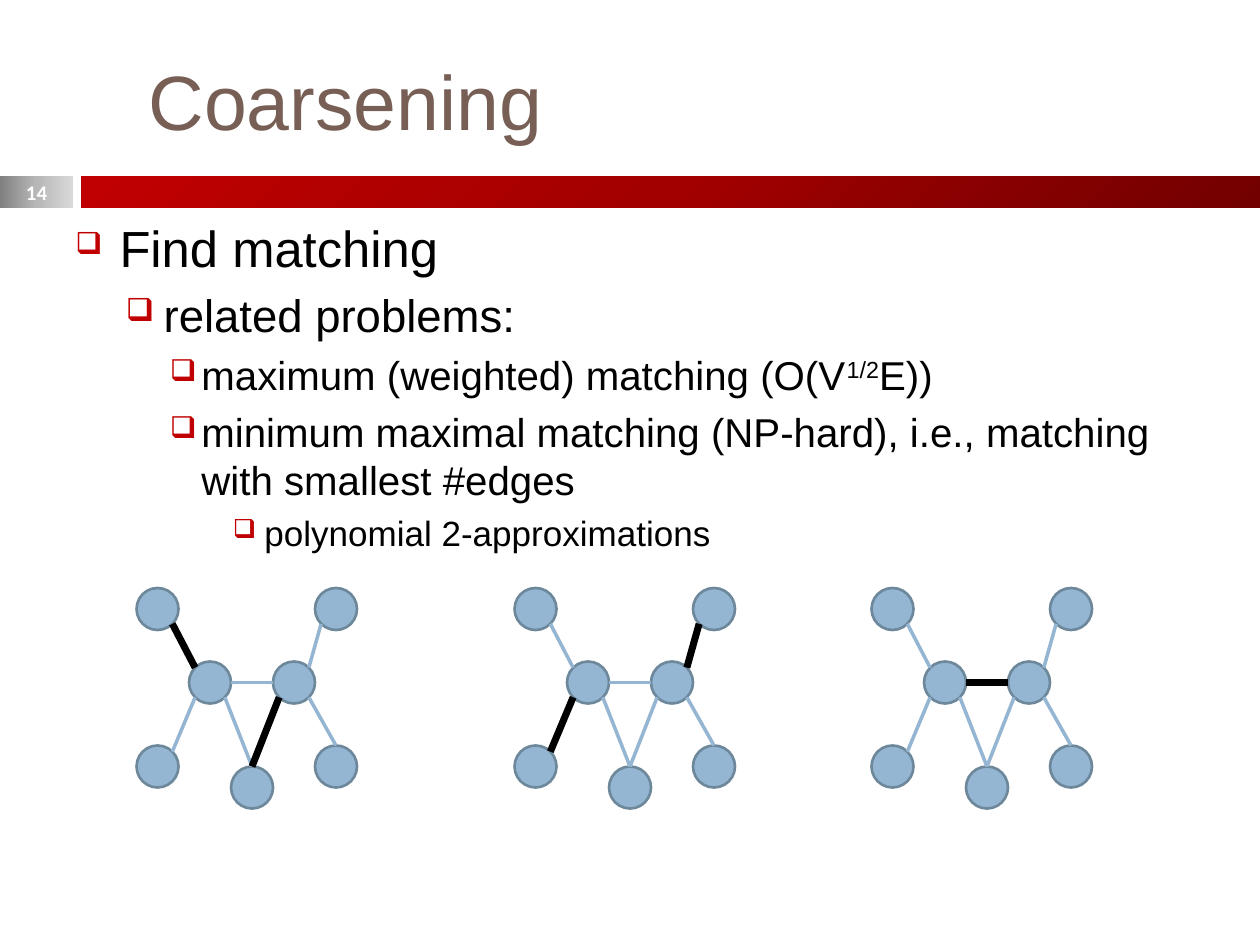
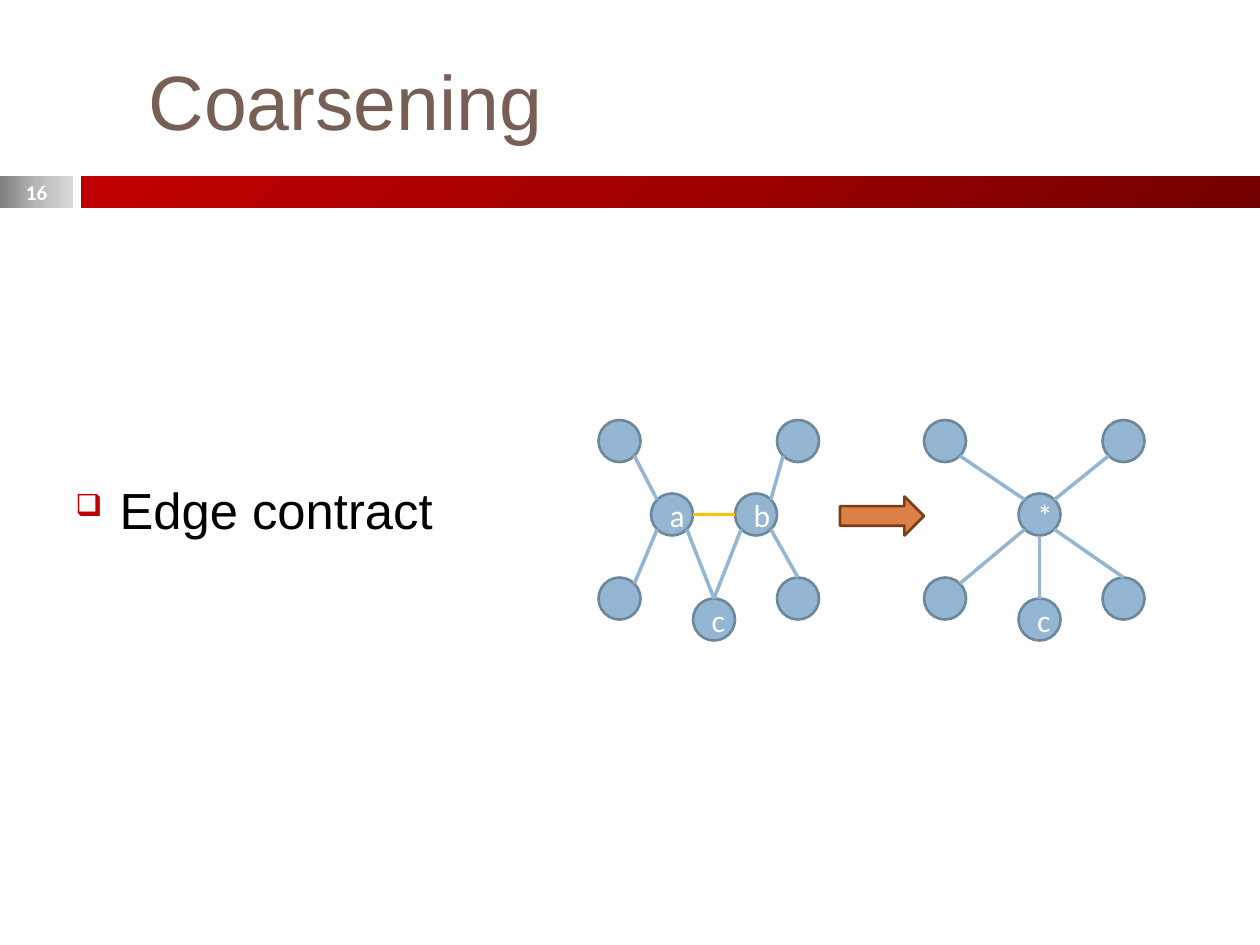
from math import cos, radians, sin

from lxml import etree
from pptx import Presentation, util as u
from pptx.dml.color import RGBColor
from pptx.enum import shapes, text
from pptx.oxml import ns

# ---- Content: body lines are (level, pieces); every second piece is raised
TITLE = "Coarsening"
MATCHING_BODY = [
    (0, ["Find matching"]),
    (1, ["related problems:"]),
    (2, ["maximum (weighted) matching (O(V", "1/2", "E))"]),
    (2, ["minimum maximal matching (NP-hard), i.e., matching with smallest #edges"]),
    (3, ["polynomial 2-approximations"]),
]
CONTRACT_BODY = [(0, ["Edge contract"])]

# ---- Graphs: node corners in grid cells, edges as (node, side, node, side)
CELL = 1 / 12
NODE = 4
CORNERS = {"nw": (0, 0), "ne": (17, 0), "sw": (0, 15), "se": (17, 15), "c": (9, 17)}
PAIR_NODES = {**CORNERS, "a": (5, 7), "b": (13, 7)}
PAIR_EDGES = [
    ("nw", "SE", "a", "NW"), ("sw", "NE", "a", "SW"), ("b", "W", "a", "E"),
    ("ne", "SW", "b", "NE"), ("b", "SE", "se", "N"),
    ("c", "N", "a", "SE"), ("b", "SW", "c", "N"),
]
MERGED_NODES = {**CORNERS, "*": (9, 7)}
MERGED_EDGES = [
    ("nw", "SE", "*", "NW"), ("sw", "NE", "*", "SW"), ("ne", "SW", "*", "NE"),
    ("*", "SE", "se", "N"), ("*", "S", "c", "N"),
]
ANGLES = {side: 45 * i for i, side in enumerate(["E", "SE", "S", "SW", "W", "NW", "N", "NE"])}

# Left edge of each graph and the edges its matching picks
MATCHINGS = [(13, ["nw-a", "b-c"]), (49, ["sw-a", "ne-b"]), (83, ["b-a"])]

# ---- Style
RED, BLUE, BLUE_LINE = "C00000", "94B6D2", "6D879B"
BLACK, WHITE, GOLD = "000000", "FFFFFF", "FFC000"
MATCHED, CONTRACTED = (BLACK, 4), (GOLD, 2)
# Per level: size, indent, hanging, space before, bullet percent
LEVELS = [(29, 0.35, 0.35, 7, 60), (26, 0.7, 0.3, 5.5, 70),
          (23, 1, 0.25, 5, 75), (20, 1.5, 0.25, 4, 75)]
BAND_TOP, BAND_HEIGHT = 1.4, 0.25
BANDS = [  # left, width, angle, gradient colours
    (0, 0.58, 0, ["808080", "B7B7B7", "D9D9D9"]),
    (0.65, 9.35, 225, ["720000", "A20000", RED]),
]


def rgb(value):
    return RGBColor.from_string(value)


def inches(*values):
    return [u.Inches(v) for v in values]


def add_xml(parent, tag, **attributes):
    return etree.SubElement(parent, ns.qn(tag), {k: str(v) for k, v in attributes.items()})


def set_font(font, size, name, color, bold=False):
    font.size, font.name, font.bold = u.Pt(size), name, bold
    font.color.rgb = rgb(color)


def add_shape(s, kind, box, fill=None, line=None):
    sp = s.shapes.add_shape(kind, *inches(*box))
    sp.shadow.inherit = False
    if fill:
        sp.fill.solid()
        sp.fill.fore_color.rgb = rgb(fill)
    if line:
        sp.line.color.rgb = rgb(line)
        sp.line.width = u.Pt(1.5)
    else:
        sp.line.fill.background()
    return sp


def add_text(s, box, anchor=text.MSO_ANCHOR.MIDDLE):
    tf = s.shapes.add_textbox(*inches(*box)).text_frame
    tf.word_wrap = True
    tf.vertical_anchor = anchor
    return tf


def add_band(s, left, width, angle, colors):
    sp = add_shape(s, shapes.MSO_SHAPE.RECTANGLE, (left, BAND_TOP, width, BAND_HEIGHT))
    sp.fill.gradient()
    grad = sp.fill._xPr.find(ns.qn("a:gradFill"))
    for child in list(grad):
        grad.remove(child)
    stops = add_xml(grad, "a:gsLst")
    for i, color in enumerate(colors):
        add_xml(add_xml(stops, "a:gs", pos=i * 50000), "a:srgbClr", val=color)
    add_xml(grad, "a:lin", ang=angle * 60000, scaled=0)


def add_body(s, box, lines):
    tf = add_text(s, box, text.MSO_ANCHOR.TOP)
    for i, (level, pieces) in enumerate(lines):
        size, indent, hanging, before, percent = LEVELS[level]
        p = tf.add_paragraph() if i else tf.paragraphs[0]
        p.level = level
        p.space_before = u.Pt(before)
        pPr = p._p.get_or_add_pPr()
        pPr.set("marL", str(u.Inches(indent)))
        pPr.set("indent", str(-u.Inches(hanging)))
        add_xml(add_xml(pPr, "a:buClr"), "a:srgbClr", val=RED)
        add_xml(pPr, "a:buSzPct", val=percent * 1000)
        add_xml(pPr, "a:buChar", char="❑")
        set_font(p.font, size, "Arial", BLACK)
        for n, piece in enumerate(pieces):
            r = p.add_run()
            r.text = piece
            if n % 2:
                r.font._element.set("baseline", "30000")


def add_slide(prs, number, body_box, body):
    s = prs.slides.add_slide(prs.slide_layouts[6])
    for band in BANDS:
        add_band(s, *band)
    p = add_text(s, (1.08, 0.25, 8.5, 1.08)).paragraphs[0]
    p.text = TITLE
    set_font(p.font, 44, "Arial", "775F55")
    add_body(s, body_box, body)
    p = add_text(s, (0, 1.39, 0.58, 0.27)).paragraphs[0]
    p.text = str(number)
    p.alignment = text.PP_ALIGN.CENTER
    set_font(p.font, 11.9, "Calibri", WHITE, True)
    return s


def add_graph(s, left, top, nodes, edges, special=(), style=MATCHED, labels=""):
    def site(node, side):
        col, row = nodes[node]
        a, radius = radians(ANGLES[side]), NODE / 2
        return inches((left + col + radius + radius * cos(a)) * CELL,
                      (top + row + radius + radius * sin(a)) * CELL)

    for name, (col, row) in nodes.items():
        box = [v * CELL for v in (left + col, top + row, NODE, NODE)]
        sp = add_shape(s, shapes.MSO_SHAPE.OVAL, box, BLUE, BLUE_LINE)
        if name in labels:
            p = sp.text_frame.paragraphs[0]
            p.text = name
            p.alignment = text.PP_ALIGN.CENTER
            set_font(p.font, 18, "Calibri", WHITE)
    for start, start_side, end, end_side in edges:
        color, width = style if f"{start}-{end}" in special else (BLUE, 2)
        line = s.shapes.add_connector(shapes.MSO_CONNECTOR.STRAIGHT,
                                      *site(start, start_side), *site(end, end_side))
        line.line.color.rgb = rgb(color)
        line.line.width = u.Pt(width)
        add_xml(line._element.spPr, "a:effectLst")


def main():
    prs = Presentation()
    prs.slide_width, prs.slide_height = inches(10, 7.5)

    # Three matchings of the same graph
    s = add_slide(prs, 14, (0.5, 1.67, 8.92, 2.75), MATCHING_BODY)
    for left, matched in MATCHINGS:
        add_graph(s, left, 56, PAIR_NODES, PAIR_EDGES, matched)

    # Edge a-b contracted into one node
    s = add_slide(prs, 16, (0.5, 3.75, 5.08, 3.17), CONTRACT_BODY)
    add_graph(s, 57, 40, PAIR_NODES, PAIR_EDGES, ["b-a"], CONTRACTED, "abc")
    add_graph(s, 88, 40, MERGED_NODES, MERGED_EDGES, labels="*c")
    add_shape(s, shapes.MSO_SHAPE.RIGHT_ARROW, (80 * CELL, 3.94, 8 * CELL, 0.31),
              "DD8047", "7B3D17")

    prs.save("out.pptx")


if __name__ == "__main__":
    main()
